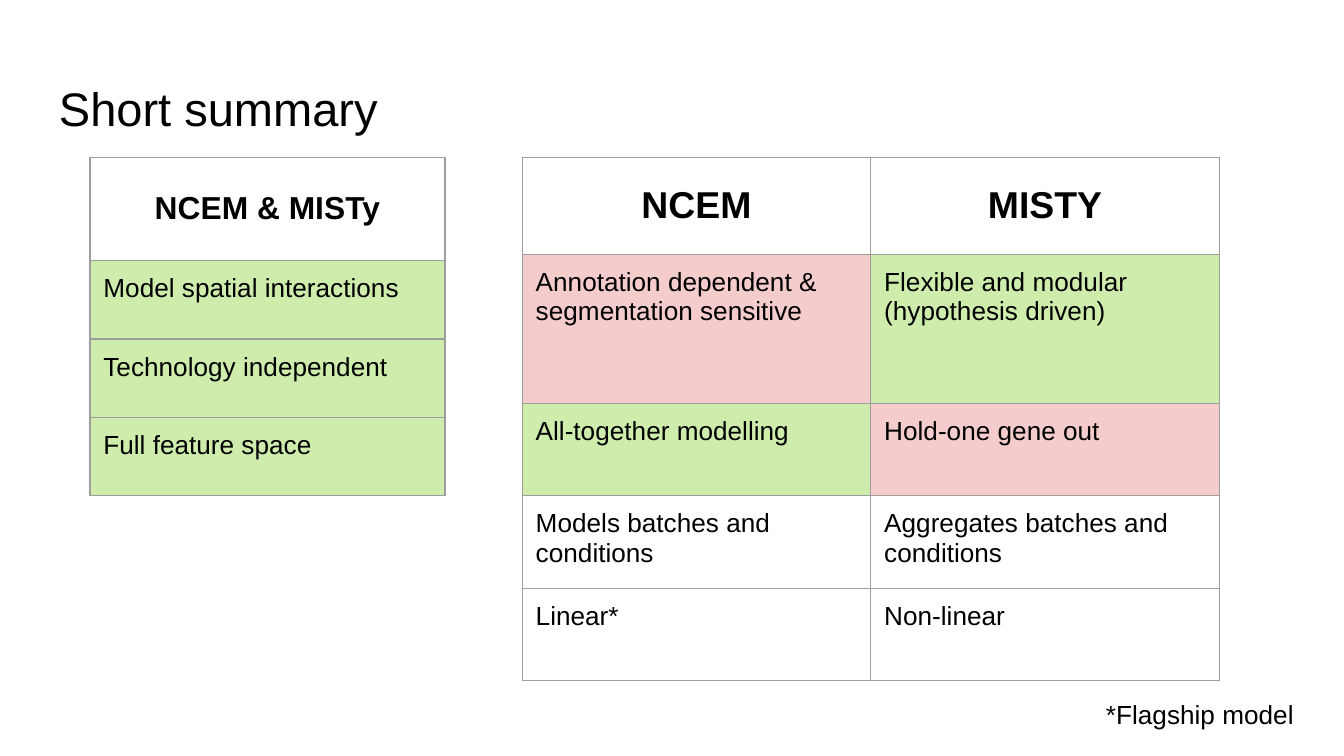
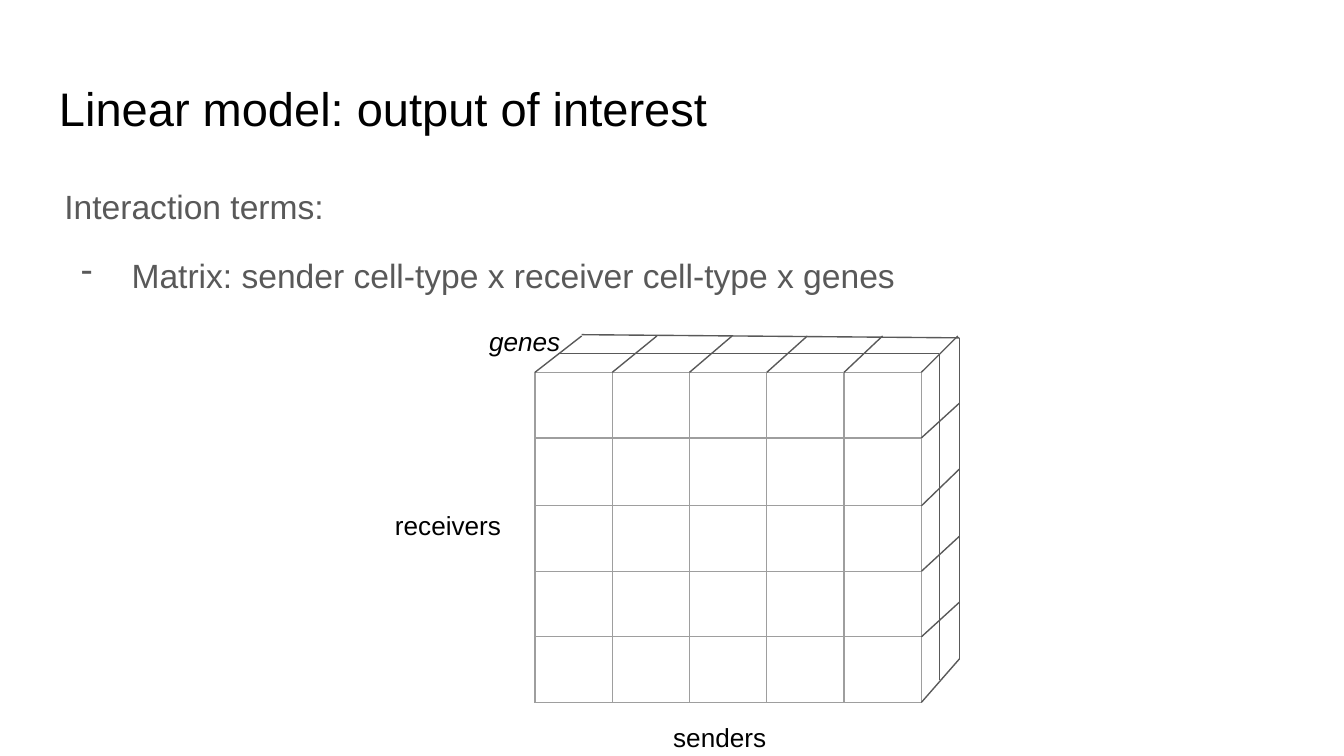
from itertools import accumulate

from lxml.etree import SubElement
from pptx import Presentation
from pptx.dml.color import RGBColor
from pptx.enum.shapes import MSO_CONNECTOR
from pptx.enum.text import MSO_ANCHOR, PP_ALIGN
from pptx.oxml.ns import qn
from pptx.util import Pt

# Shared style
FONT = "Arial"
BLACK = RGBColor(0x00, 0x00, 0x00)
GREY = RGBColor(0x59, 0x59, 0x59)
BORDER = RGBColor(0x9E, 0x9E, 0x9E)
GREEN = RGBColor(0xCE, 0xEC, 0xAC)
RED = RGBColor(0xF4, 0xCC, 0xCC)
LINE_WIDTH = Pt(0.75)
INSET = 7.2

# Summary content: rows of (text, fill)
SHARED_TRAITS = [
    [("NCEM & MISTy", None)],
    [("Model spatial interactions", GREEN)],
    [("Technology independent", GREEN)],
    [("Full feature space", GREEN)],
]
DIFFERENCES = [
    [("NCEM", None), ("MISTY", None)],
    [("Annotation dependent & segmentation sensitive", RED),
     ("Flexible and modular (hypothesis driven)", GREEN)],
    [("All-together modelling", GREEN), ("Hold-one gene out", RED)],
    [("Models batches and conditions", None), ("Aggregates batches and conditions", None)],
    [("Linear*", None), ("Non-linear", None)],
]
# Left, top, column width, row heights, header size
SUMMARY_TABLES = [
    (SHARED_TRAITS, 48.2, 84.2, 190.2, [55.4, 42, 42, 42], 17),
    (DIFFERENCES, 279.8, 84.2, 186.7, [52, 79.8, 49.6, 49.6, 49.6], 20),
]

# Cube content
INTERACTIONS = ["Interaction terms:", "Matrix: sender cell-type x receiver cell-type x genes"]
AXIS_LABELS = [  # text, left, top, width, italic
    ("senders", 353.5, 379.4, 68.4, False),
    ("receivers", 204.5, 265.7, 76.3, False),
    ("genes", 254.9, 167, 59, True),
]
CUBE_LEFT, CUBE_TOP, CUBE_COLUMN = 286.6, 199.5, 41.4
CUBE_ROWS = [35.1, 36.4, 35.1, 35.1, 35.1]
BACK_LEFT, BACK_TOP, BACK_COLUMN = 311.6, 180, 40.3
BACK_SIDE_X = 514
BACK_SIDE_YS = [181, 216, 251.3, 287.3, 322.6, 353]
MIDDLE_Y, MIDDLE_X = 189.5, 503.3


def add_run(paragraph, text, size, color=BLACK, bold=False, italic=False):
    run = paragraph.add_run()
    run.text = text
    font = run.font
    font.name, font.size, font.bold, font.italic = FONT, Pt(size), bold, italic
    font.color.rgb = color


def add_box(slide, left, top, width, height):
    shape = slide.shapes.add_textbox(Pt(left), Pt(top), Pt(width), Pt(height))
    frame = shape.text_frame
    frame.word_wrap = True
    frame.margin_left = frame.margin_right = Pt(INSET)
    frame.margin_top = frame.margin_bottom = Pt(INSET)
    return frame


def add_title(slide, text):
    frame = add_box(slide, 24.5, 35.1, 671, 45.1)
    frame.vertical_anchor = MSO_ANCHOR.BOTTOM
    add_run(frame.paragraphs[0], text, 25.2)


def add_label(slide, text, left, top, width, italic=False):
    frame = add_box(slide, left, top, width, 31.7)
    add_run(frame.paragraphs[0], text, 14, italic=italic)


def add_borders(cell):
    properties = cell._tc.get_or_add_tcPr()
    for side in ("a:lnL", "a:lnR", "a:lnT", "a:lnB"):
        line = SubElement(properties, qn(side), w=str(int(LINE_WIDTH)))
        fill = SubElement(line, qn("a:solidFill"))
        SubElement(fill, qn("a:srgbClr"), val=str(BORDER))


def add_grid(slide, left, top, column_width, column_count, row_heights):
    """Add a bordered table without banding or fills."""
    table = slide.shapes.add_table(
        len(row_heights), column_count, Pt(left), Pt(top),
        Pt(column_width * column_count), Pt(sum(row_heights))).table
    table.first_row = table.horz_banding = False
    for column in table.columns:
        column.width = Pt(column_width)
    for row, height in zip(table.rows, row_heights):
        row.height = Pt(height)
    for cell in table.iter_cells():
        add_borders(cell)
        cell.fill.background()
    return table


def add_summary_table(slide, rows, left, top, column_width, row_heights, header_size):
    table = add_grid(slide, left, top, column_width, len(rows[0]), row_heights)
    for row_index, row in enumerate(rows):
        header = row_index == 0
        for column_index, (text, color) in enumerate(row):
            cell = table.cell(row_index, column_index)
            cell.margin_left = cell.margin_right = Pt(INSET)
            cell.margin_top = cell.margin_bottom = Pt(INSET)
            if color is not None:
                cell.fill.solid()
                cell.fill.fore_color.rgb = color
            paragraph = cell.text_frame.paragraphs[0]
            if header:
                cell.vertical_anchor = MSO_ANCHOR.MIDDLE
                paragraph.alignment = PP_ALIGN.CENTER
            add_run(paragraph, text, header_size if header else 14, bold=header)


def add_edge(slide, start, end):
    connector = slide.shapes.add_connector(
        MSO_CONNECTOR.STRAIGHT, *(Pt(value) for value in (*start, *end)))
    connector.line.color.rgb = GREY
    connector.line.width = LINE_WIDTH
    SubElement(connector._element.spPr, qn("a:effectLst"))


def add_dash_bullet(paragraph):
    properties = paragraph._p.get_or_add_pPr()
    properties.set("marL", str(int(Pt(36))))
    properties.set("indent", str(int(Pt(-27))))
    color = SubElement(properties, qn("a:buClr"))
    SubElement(color, qn("a:srgbClr"), val=str(GREY))
    SubElement(properties, qn("a:buChar"), char="-")


def build_summary(slide):
    add_title(slide, "Short summary")
    for table in SUMMARY_TABLES:
        add_summary_table(slide, *table)
    add_label(slide, "*Flagship model", 585.4, 367.2, 218.9)


def build_output(slide):
    add_title(slide, "Linear model: output of interest")

    # Interaction terms
    frame = add_box(slide, 27.4, 89.3, 671, 269.3)
    for index, text in enumerate(INTERACTIONS):
        paragraph = frame.add_paragraph() if index else frame.paragraphs[0]
        if index:
            add_dash_bullet(paragraph)
            paragraph.space_before = Pt(12)
        paragraph.line_spacing = 1.15
        add_run(paragraph, text, 18, GREY)

    # Front face
    count = len(CUBE_ROWS)
    add_grid(slide, CUBE_LEFT, CUBE_TOP, CUBE_COLUMN, count, CUBE_ROWS)

    # Top and right faces
    front_right = CUBE_LEFT + count * CUBE_COLUMN
    for index in range(count + 1):
        add_edge(slide, (CUBE_LEFT + index * CUBE_COLUMN, CUBE_TOP),
                 (BACK_LEFT + index * BACK_COLUMN, BACK_TOP))
    front_ys = list(accumulate(CUBE_ROWS, initial=CUBE_TOP))
    for front_y, back_y in zip(front_ys[1:], BACK_SIDE_YS[1:]):
        add_edge(slide, (front_right, front_y), (BACK_SIDE_X, back_y))
    add_edge(slide, (BACK_LEFT, BACK_TOP - 0.7), (BACK_SIDE_X, BACK_SIDE_YS[0]))
    add_edge(slide, (BACK_SIDE_X, BACK_SIDE_YS[0]), (BACK_SIDE_X, BACK_SIDE_YS[-1]))

    # Middle layer
    add_edge(slide, (298.8, MIDDLE_Y), (MIDDLE_X, MIDDLE_Y))
    add_edge(slide, (MIDDLE_X, MIDDLE_Y), (MIDDLE_X, 364.3))

    for label in AXIS_LABELS:
        add_label(slide, *label)


def main():
    presentation = Presentation()
    presentation.slide_width, presentation.slide_height = Pt(720), Pt(405)
    for build in (build_summary, build_output):
        build(presentation.slides.add_slide(presentation.slide_layouts[6]))
    presentation.save("out.pptx")


if __name__ == "__main__":
    main()
